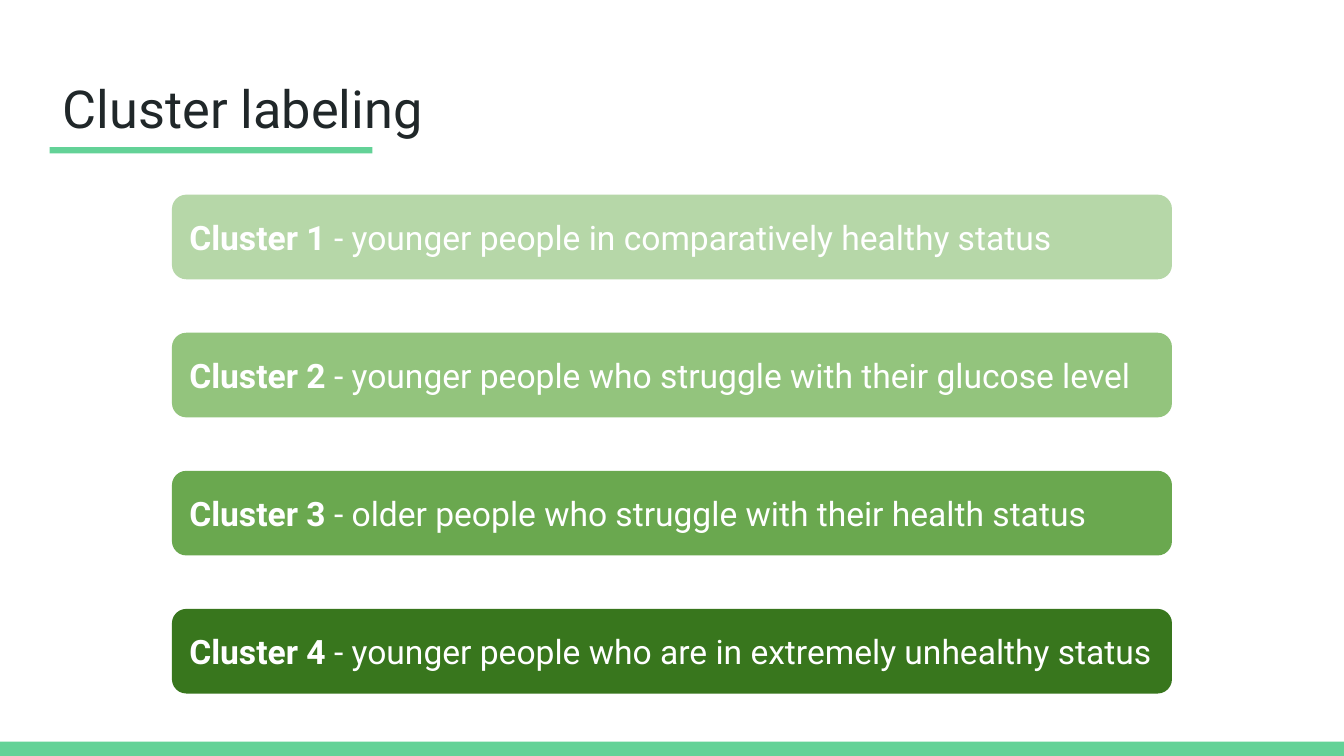
from dataclasses import dataclass

from pptx import Presentation
from pptx.dml.color import RGBColor
from pptx.enum import shapes, text
from pptx.util import Cm, Pt


@dataclass(frozen=True)
class Theme:
    font: str = "Roboto"
    title_size: int = 28
    label_size: int = 18
    title_color: str = "202729"
    label_color: str = "FFFFFF"
    accent: str = "63D297"
    background: str = "FFFFFF"
    cluster_fills: tuple = ("B6D7A8", "93C47D", "6AA84F", "38761D")


THEME = Theme()
SLIDE_WIDTH, SLIDE_HEIGHT = 25.4, 14.29
FOOTER_HEIGHT = 0.27
INSET = 0.25
LABEL_TOP, LABEL_PITCH = 3.68, 2.61

CLUSTERS = (
    "younger people in comparatively healthy status",
    "younger people who struggle with their glucose level",
    "older people who struggle with their health status",
    "younger people who are in extremely unhealthy status",
)


def add_run(paragraph, wording, size, color, bold=False):
    run = paragraph.add_run()
    run.text = wording
    run.font.name = THEME.font
    run.font.size = Pt(size)
    run.font.bold = bold
    run.font.color.rgb = RGBColor.from_string(color)


def prepare_frame(shape, anchor):
    """Set insets, wrapping and alignment; return the first paragraph."""
    frame = shape.text_frame
    frame.margin_left = frame.margin_right = Cm(INSET)
    frame.margin_top = frame.margin_bottom = Cm(INSET)
    frame.word_wrap = True
    frame.auto_size = text.MSO_AUTO_SIZE.NONE
    frame.vertical_anchor = anchor
    paragraph = frame.paragraphs[0]
    paragraph.alignment = text.PP_ALIGN.LEFT
    return paragraph


def add_block(slide, kind, left, top, width, height, fill):
    """Add a filled shape without outline or shadow."""
    shape = slide.shapes.add_shape(kind, Cm(left), Cm(top), Cm(width), Cm(height))
    shape.shadow.inherit = False
    shape.fill.solid()
    shape.fill.fore_color.rgb = RGBColor.from_string(fill)
    shape.line.fill.background()
    return shape


def add_bar(slide, left, top, width, height):
    add_block(slide, shapes.MSO_SHAPE.RECTANGLE, left, top, width, height, THEME.accent)


def add_title(slide, wording):
    title = slide.shapes.title
    title.left, title.top = Cm(0.94), Cm(1.19)
    title.width, title.height = Cm(11.4), Cm(1.6)
    paragraph = prepare_frame(title, text.MSO_ANCHOR.TOP)
    add_run(paragraph, wording, THEME.title_size, THEME.title_color)


def add_cluster_label(slide, number, description, top, fill):
    label = add_block(
        slide, shapes.MSO_SHAPE.ROUNDED_RECTANGLE, 3.25, top, 18.9, 1.6, fill
    )
    label.adjustments[0] = 0.17
    paragraph = prepare_frame(label, text.MSO_ANCHOR.MIDDLE)
    add_run(paragraph, f"Cluster {number}", THEME.label_size, THEME.label_color, bold=True)
    add_run(paragraph, f" - {description}", THEME.label_size, THEME.label_color)


def main():
    presentation = Presentation()
    presentation.slide_width = Cm(SLIDE_WIDTH)
    presentation.slide_height = Cm(SLIDE_HEIGHT)
    slide = presentation.slides.add_slide(presentation.slide_layouts[5])
    slide.background.fill.solid()
    slide.background.fill.fore_color.rgb = RGBColor.from_string(THEME.background)

    add_bar(slide, 0, SLIDE_HEIGHT - FOOTER_HEIGHT, SLIDE_WIDTH, FOOTER_HEIGHT)
    add_title(slide, "Cluster labeling")
    for index, (description, fill) in enumerate(zip(CLUSTERS, THEME.cluster_fills)):
        top = LABEL_TOP + index * LABEL_PITCH
        add_cluster_label(slide, index + 1, description, top, fill)
    add_bar(slide, 0.94, 2.78, 6.1, 0.12)

    presentation.save("out.pptx")


if __name__ == "__main__":
    main()
